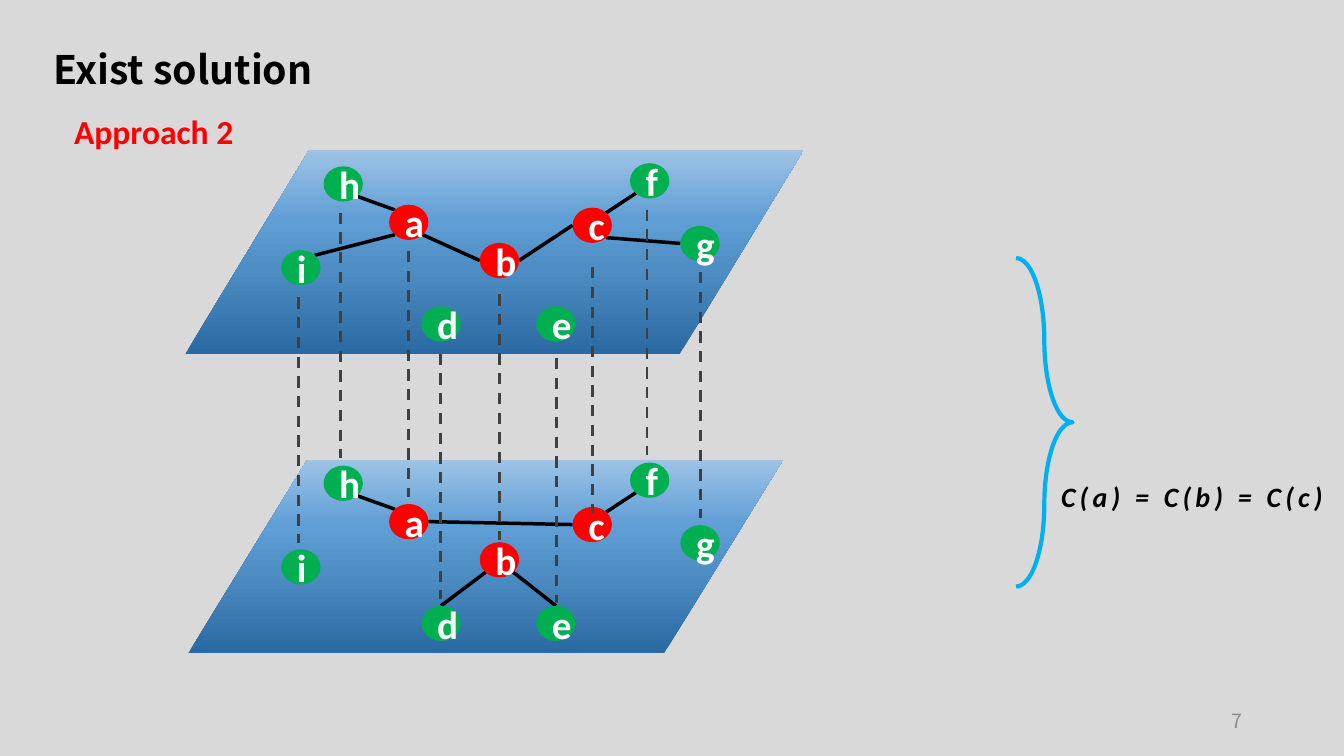
from lxml import etree
from pptx import Presentation
from pptx.dml.color import RGBColor
from pptx.enum import dml, shapes, text
from pptx.oxml import ns
from pptx.util import Pt

# left, top, width, height
PLANES = [(134.6, 328.3, 424.8, 138.2), (132.5, 107.3, 441.4, 145.4)]
PLANE_STOPS = [(0, "2A69A2"), (42, "4F8DC5"), (66, "609ED6"), (100, "9DC3E6")]
RED, GREEN = "FF0000", "00B050"
# letter: left and top in the upper plane, colour, x and top of the dashed link
NODES = {
    "b": (342.7, 173.5, RED, 357.1, 210.2),
    "h": (231.1, 118.8, GREEN, 243.4, 151.9),
    "i": (200.9, 178.6, GREEN, 213.1, 212.4),
    "d": (301, 218.9, GREEN, 314.6, 252.7),
    "e": (383, 218.9, GREEN, 397.4, 255.6),
    "a": (277.9, 146.2, RED, 291.6, 179.3),
    "f": (450, 116.6, GREEN, 462.2, 149.8),
    "g": (486, 161.3, GREEN, 500.4, 194.4),
    "c": (409, 148.3, RED, 423.4, 190.8),
}
NODE_W, NODE_H = 28.1, 25.2
LAYER_GAP, LINK_LENGTH = 213.8, 175.4
# places on a node's rim, as parts of its width and height
RIM = {
    "top": (0.5, 0), "left": (0, 0.5), "right": (1, 0.5),
    "top left": (0.15, 0.15), "top right": (0.85, 0.15),
    "bottom left": (0.15, 0.85), "bottom right": (0.85, 0.85),
}
SHARED_EDGES = [
    ("h", "bottom right", "a", "top left"),
    ("c", "top right", "f", "bottom left"),
]
LOWER_EDGES = SHARED_EDGES + [
    ("a", "right", "c", "left"),
    ("b", "bottom left", "d", "top"),
    ("b", "bottom right", "e", "top"),
]
UPPER_EDGES = SHARED_EDGES + [
    ("i", "top right", "a", "bottom left"),
    ("a", "bottom right", "b", "left"),
    ("b", "right", "c", "left"),
    ("c", "bottom right", "g", "left"),
]
LAYERS = [(PLANES[0], LAYER_GAP, LOWER_EDGES), (PLANES[1], 0, UPPER_EDGES)]
BRACE = (725.8, 184.3, 40.3, 234.7)
CENTER, LEFT, RIGHT = text.PP_ALIGN.CENTER, text.PP_ALIGN.LEFT, text.PP_ALIGN.RIGHT
TOP, MIDDLE = text.MSO_ANCHOR.TOP, text.MSO_ANCHOR.MIDDLE
# wording, box, alignment, line spacing, wrap, anchor, font, colour
LABELS = [
    ("Approach 2", (31, 75.6, 157.7, 36), CENTER, 1, True, TOP,
     dict(size=Pt(24), bold=True, name="Calibri"), RED),
    ("Exist solution", (31, 12.2, 205.9, 58.3), LEFT, 1.5, False, TOP,
     dict(size=Pt(28), bold=True, name="Noto Sans CJK SC"), "000000"),
    ("C(a) = C(b) = C(c)", (697, 339.1, 308.9, 31.7), CENTER, 1, True, TOP,
     dict(size=Pt(20), bold=True, italic=True, name="Calibri"), "000000"),
    ("7", (678.2, 500.4, 216, 28.8), RIGHT, 1, True, MIDDLE,
     dict(size=Pt(14), name="Noto Sans CJK SC"), "8C8C8C"),
]
SPACED = {"C(a) = C(b) = C(c)": 300}  # letter spacing, hundredths of a point
NODE_FONT = dict(size=Pt(28), bold=True, name="Calibri")


def rgb(value):
    return RGBColor.from_string(value)


def pts(values):
    return [Pt(v) for v in values]


def write(tf, words, align, anchor, font, colour):
    tf.vertical_anchor = anchor
    p = tf.paragraphs[0]
    p.alignment = align
    r = p.add_run()
    r.text = words
    for key, value in font.items():
        setattr(r.font, key, value)
    r.font.color.rgb = rgb(colour)
    return p, r


def add_line(tree, start, end, colour, width, dash=None):
    s = tree.add_connector(shapes.MSO_CONNECTOR.STRAIGHT, *pts(start + end))
    s.line.color.rgb = rgb(colour)
    s.line.width = Pt(width)
    if dash:
        s.line.dash_style = dash
    etree.SubElement(s._element.spPr, ns.qn("a:effectLst"))


def add_shape(tree, kind, box):
    s = tree.add_shape(kind, *pts(box))
    s.shadow.inherit = False
    return s


def add_plane(tree, box):
    s = add_shape(tree, shapes.MSO_SHAPE.FLOWCHART_DATA, box)
    s.line.fill.background()
    s.fill.gradient()
    s.fill.gradient_angle = 90
    stops = s._element.spPr.find(".//" + ns.qn("a:gsLst"))
    for stop in list(stops):
        stops.remove(stop)
    for place, colour in PLANE_STOPS:
        stop = etree.SubElement(stops, ns.qn("a:gs"), pos=str(place * 1000))
        etree.SubElement(stop, ns.qn("a:srgbClr"), val=colour)


def rim_point(letter, place, drop):
    x, y = NODES[letter][:2]
    across, down = RIM[place]
    return x + across * NODE_W, y + drop + down * NODE_H


def add_layer(tree, plane, drop, edges):
    add_plane(tree, plane)
    for first, first_place, second, second_place in edges:
        add_line(tree, rim_point(first, first_place, drop),
                 rim_point(second, second_place, drop), "000000", 2.5)
    for letter, (x, y, colour, *_) in NODES.items():
        s = add_shape(tree, shapes.MSO_SHAPE.OVAL, (x, y + drop, NODE_W, NODE_H))
        s.fill.solid()
        s.fill.fore_color.rgb = rgb(colour)
        s.line.fill.background()
        write(s.text_frame, letter, CENTER, MIDDLE, NODE_FONT, "FFFFFF")


def main():
    prs = Presentation()
    prs.slide_width, prs.slide_height = Pt(960), Pt(540)
    slide = prs.slides.add_slide(prs.slide_layouts[6])
    slide.background.fill.solid()
    slide.background.fill.fore_color.rgb = rgb("D9D9D9")
    tree = slide.shapes

    for plane, drop, edges in LAYERS:
        add_layer(tree, plane, drop, edges)
    for *_, x, y in NODES.values():
        add_line(tree, (x, y), (x, y + LINK_LENGTH), "404040", 2, dml.MSO_LINE.DASH)

    brace = add_shape(tree, shapes.MSO_SHAPE.RIGHT_BRACE, BRACE)
    brace.adjustments[0], brace.adjustments[1] = 1.465, 0.5
    brace.fill.background()
    brace.line.color.rgb = rgb("00B0F0")
    brace.line.width = Pt(3)

    for words, box, align, spacing, wrap, anchor, font, colour in LABELS:
        tf = tree.add_textbox(*pts(box)).text_frame
        tf.word_wrap = wrap
        p, r = write(tf, words, align, anchor, font, colour)
        p.line_spacing = spacing
        if words in SPACED:
            r.font._element.set("spc", str(SPACED[words]))
    prs.save("out.pptx")


if __name__ == "__main__":
    main()
